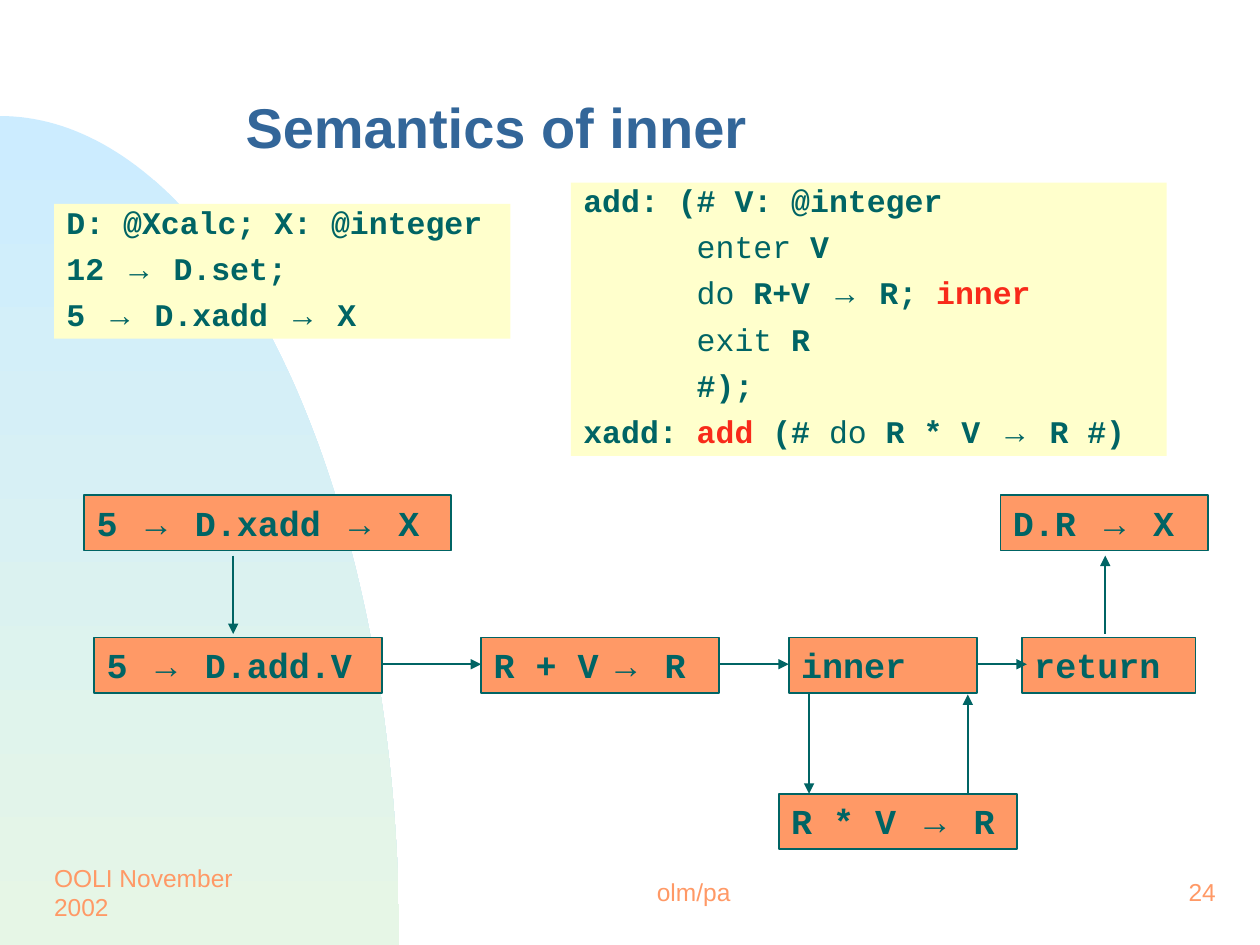
from math import cos, pi, sin

from lxml.etree import SubElement
from pptx import Presentation
from pptx.dml.color import RGBColor
from pptx.enum.shapes import MSO_CONNECTOR, MSO_SHAPE
from pptx.enum.text import MSO_ANCHOR, PP_ALIGN
from pptx.oxml.ns import qn
from pptx.util import Cm, Pt

THEME = {
    "title": "336699", "ink": "006464", "accent": "F82A1A",
    "code_fill": "FFFFCC", "step_fill": "FF9966", "footer": "FF9966",
    "sky": "CCECFF", "meadow": "E6F6E6",
    "sans": "Arial", "mono": "Courier New",
    "title_size": 32, "code_size": 18, "step_size": 20, "footer_size": 14,
}
PAGE_WIDTH, PAGE_HEIGHT = 25.4, 19.05  # all places and sizes are in cm

# "|" separates the runs of a line
CODE_BOXES = [
    ((1.09, 4.11, 9.2, 2.72), [
        "D: @Xcalc; X: @integer",
        "12 |→| D.set;",
        "5 |→| D.xadd |→| X",
    ]),
    ((11.51, 3.68, 12.01, 5.51), [
        "add: (# V: @integer",
        "      |enter| V",
        "      |do| R+V |→| R; |inner",
        "      |exit| R",
        "      #);",
        "xadd: |add| (# |do| R * V |→| R #)",
    ]),
]
KEYWORDS = {"enter", "do", "exit"}
HIGHLIGHTS = {"inner", "add"}

TOP_ROW, MIDDLE_ROW, BOTTOM_ROW = 9.98, 12.85, 16.0
STEP_HEIGHT = 1.12
STEPS = [  # text, left, top, width
    ("5 |→| D.xadd |→| X", 1.7, TOP_ROW, 7.4),
    ("D.R |→| X", 20.17, TOP_ROW, 4.19),
    ("5 |→| D.add.V", 1.9, MIDDLE_ROW, 5.8),
    ("R + V| →| R", 9.7, MIDDLE_ROW, 4.8),
    ("inner", 15.9, MIDDLE_ROW, 3.8),
    ("return", 20.6, MIDDLE_ROW, 3.5),
    ("R * V |→| R", 15.7, BOTTOM_ROW, 4.8),
]

FLOW = 13.39  # height of the horizontal arrows
UPPER_GAP = (TOP_ROW + STEP_HEIGHT + 0.1, MIDDLE_ROW - 0.07)
LOWER_GAP = (MIDDLE_ROW + STEP_HEIGHT + 0.03, BOTTOM_ROW)
ARROWS = [  # start x, start y, end x, end y
    (4.7, UPPER_GAP[0], 4.7, UPPER_GAP[1]),
    (7.7, FLOW, 9.7, FLOW),
    (14.5, FLOW, 15.9, FLOW),
    (16.31, LOWER_GAP[0], 16.31, LOWER_GAP[1]),
    (19.51, LOWER_GAP[1], 19.51, LOWER_GAP[0]),
    (19.7, FLOW, 20.7, FLOW),
    (22.28, UPPER_GAP[1], 22.28, UPPER_GAP[0]),
]

FOOTER_TOP, FOOTER_HEIGHT = 17.35, 1.27
FOOTERS = [  # text, left, width, alignment
    ("OOLI November 2002", 0.84, 5.28, PP_ALIGN.LEFT),
    ("olm/pa", 9.96, 8.05, PP_ALIGN.CENTER),
    ("24", 19.48, 5.28, PP_ALIGN.RIGHT),
]


def color(name):
    return RGBColor.from_string(THEME[name])


def write(shape, lines, *, size, ink="ink", face="mono", bold=True,
          align=PP_ALIGN.LEFT, anchor=MSO_ANCHOR.TOP, line_spacing=1.0,
          gap=0, keywords=(), highlights=()):
    """Fill a shape with lines; arrows are set in the sans face."""
    frame = shape.text_frame
    frame.word_wrap = True
    frame.vertical_anchor = anchor
    for index, line in enumerate(lines):
        paragraph = frame.add_paragraph() if index else frame.paragraphs[0]
        paragraph.alignment = align
        paragraph.line_spacing = line_spacing
        paragraph.space_before = Pt(gap if index else 0)
        for piece in line.split("|"):
            run = paragraph.add_run()
            run.text = piece
            run.font.name = THEME["sans" if "→" in piece else face]
            run.font.size = Pt(THEME[size])
            run.font.bold = bold and piece not in keywords
            run.font.color.rgb = color("accent" if piece in highlights else ink)


def add_text(slide, place, text, **style):
    box = slide.shapes.add_textbox(*map(Cm, place))
    write(box, [text], face="sans", anchor=MSO_ANCHOR.MIDDLE, **style)


def add_box(slide, place, lines, *, fill, outline=None, **style):
    shape = slide.shapes.add_shape(MSO_SHAPE.RECTANGLE, *map(Cm, place))
    shape.shadow.inherit = False
    shape.fill.solid()
    shape.fill.fore_color.rgb = color(fill)
    if outline:
        shape.line.color.rgb = color(outline)
        shape.line.width = Pt(1)
    else:
        shape.line.fill.background()
    write(shape, lines, **style)


def add_arrow(slide, ends):
    arrow = slide.shapes.add_connector(MSO_CONNECTOR.STRAIGHT, *map(Cm, ends))
    arrow.line.color.rgb = color("ink")
    arrow.line.width = Pt(1)
    SubElement(arrow.line._get_or_add_ln(), qn("a:tailEnd"), type="triangle")
    SubElement(arrow._element.spPr, qn("a:effectLst"))


def add_hill(slide, width=8.05, height=16.71, steps=90):
    """Draw the quarter ellipse that rises from the lower left corner."""
    angles = [pi / 2 * step / steps for step in range(steps + 1)]
    curve = [(Cm(width * sin(angle)), Cm(PAGE_HEIGHT - height * cos(angle)))
             for angle in angles]
    builder = slide.shapes.build_freeform(*curve[0])
    builder.add_line_segments(curve[1:] + [(0, Cm(PAGE_HEIGHT))], close=True)
    hill = builder.convert_to_shape()
    hill.shadow.inherit = False
    hill.line.fill.background()
    hill.fill.gradient()
    hill.fill.gradient_angle = 270
    for stop, name, position in zip(hill.fill.gradient_stops, ("sky", "meadow"), (0, 1)):
        stop.color.rgb = color(name)
        stop.position = position


def main():
    presentation = Presentation()
    presentation.slide_width = Cm(PAGE_WIDTH)
    presentation.slide_height = Cm(PAGE_HEIGHT)
    slide = presentation.slides.add_slide(presentation.slide_layouts[6])

    add_hill(slide)
    add_text(slide, (4.7, 2.11, 16.94, 1.19), "Semantics of inner",
             size="title_size", ink="title", line_spacing=0.7)
    for place, lines in CODE_BOXES:
        add_box(slide, place, lines, fill="code_fill", size="code_size",
                line_spacing=0.8, gap=9, keywords=KEYWORDS, highlights=HIGHLIGHTS)
    for text, left, top, width in STEPS:
        add_box(slide, (left, top, width, STEP_HEIGHT), [text],
                fill="step_fill", outline="ink", size="step_size")
    for ends in ARROWS:
        add_arrow(slide, ends)
    for text, left, width, align in FOOTERS:
        add_text(slide, (left, FOOTER_TOP, width, FOOTER_HEIGHT), text,
                 size="footer_size", ink="footer", bold=False, align=align)

    presentation.save("out.pptx")


if __name__ == "__main__":
    main()
